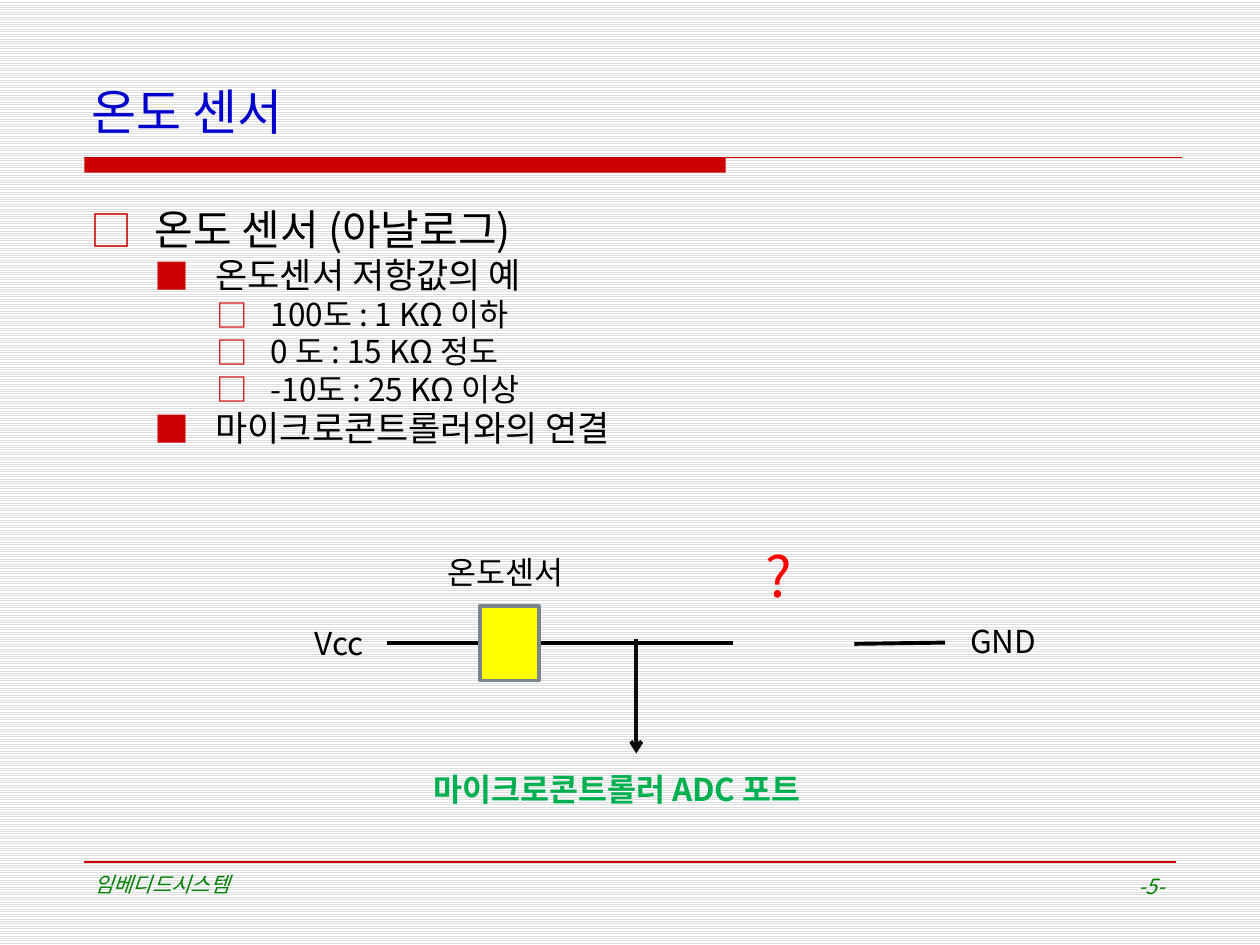
from dataclasses import dataclass

from lxml import etree
from pptx import Presentation
from pptx.dml.color import RGBColor
from pptx.enum.dml import MSO_PATTERN
from pptx.enum.shapes import MSO_CONNECTOR, MSO_SHAPE
from pptx.enum.text import MSO_ANCHOR, PP_ALIGN
from pptx.oxml.ns import qn
from pptx.util import Inches, Pt

STRIPES = MSO_PATTERN.LIGHT_HORIZONTAL
STRAIGHT = MSO_CONNECTOR.STRAIGHT
RECT = MSO_SHAPE.RECTANGLE
TOP, BOTTOM = MSO_ANCHOR.TOP, MSO_ANCHOR.BOTTOM
LEFT, RIGHT = PP_ALIGN.LEFT, PP_ALIGN.RIGHT


@dataclass(frozen=True)
class Theme:
    font: str = "Noto Sans CJK KR"
    paper: str = "FFFFFF"
    stripe: str = "DDDDDD"
    ink: str = "000000"
    arrow: str = "0D0D0D"
    title: str = "0000CC"
    accent: str = "CC0000"
    foot: str = "008000"
    port: str = "00B050"
    ask: str = "FF0000"
    sensor: str = "FFFF00"
    edge: str = "79848F"
    title_size: int = 28
    level_sizes: tuple = (24, 20, 18)
    label_size: int = 18
    ask_size: int = 32
    foot_size: int = 12


THEME = Theme()

# Text start, hanging indent and bullet for each outline level
LEVELS = ((0.51, 0.51, "□"), (0.99, 0.48, "■"), (1.43, 0.43, "□"))
POINTS = (
    (0, "온도 센서 (아날로그)"),
    (1, "온도센서 저항값의 예"),
    (2, "100도 : 1 KΩ 이하"),
    (2, "0 도 : 15 KΩ 정도"),
    (2, "-10도 : 25 KΩ 이상"),
    (1, "마이크로콘트롤러와의 연결"),
)


def color(code):
    return RGBColor.from_string(code)


def add_run(para, text, size, ink, bold=False, italic=False):
    run = para.add_run()
    run.text = text
    font = run.font
    font.name, font.size = THEME.font, Pt(size)
    font.bold, font.italic = bold, italic
    font.color.rgb = color(ink)
    east = etree.SubElement(run._r.get_or_add_rPr(), qn("a:ea"))
    east.set("typeface", THEME.font)


def add_frame(slide, box, anchor=TOP):
    frame = slide.shapes.add_textbox(*map(Inches, box)).text_frame
    frame.word_wrap = True
    frame.vertical_anchor = anchor
    return frame


def add_label(slide, box, text, size, ink, anchor=TOP, align=LEFT, **style):
    para = add_frame(slide, box, anchor).paragraphs[0]
    para.alignment = align
    add_run(para, text, size, ink, **style)


def add_line(slide, start, end, ink, width, arrow=False):
    line = slide.shapes.add_connector(STRAIGHT, *map(Inches, start + end))
    line.line.color.rgb = color(ink)
    line.line.width = Pt(width)
    if arrow:
        tip = etree.SubElement(line.line._get_or_add_ln(), qn("a:tailEnd"))
        tip.set("type", "arrow")
    etree.SubElement(line._element.spPr, qn("a:effectLst"))


def add_rect(slide, box, fill, edge=None, width=0):
    rect = slide.shapes.add_shape(RECT, *map(Inches, box))
    rect.shadow.inherit = False
    rect.fill.solid()
    rect.fill.fore_color.rgb = color(fill)
    if edge:
        rect.line.color.rgb = color(edge)
        rect.line.width = Pt(width)
    else:
        rect.line.fill.background()


def set_bullet(para, level):
    start, hang, mark = LEVELS[level]
    props = para._p.get_or_add_pPr()
    props.set("marL", str(Inches(start)))
    props.set("indent", str(-Inches(hang)))
    tint = etree.SubElement(props, qn("a:buClr"))
    etree.SubElement(tint, qn("a:srgbClr")).set("val", THEME.accent)
    etree.SubElement(props, qn("a:buFont")).set("typeface", THEME.font)
    etree.SubElement(props, qn("a:buChar")).set("char", mark)


def paint_back(slide):
    fill = slide.background.fill
    fill.patterned()
    fill.pattern = STRIPES
    fill.fore_color.rgb = color(THEME.stripe)
    fill.back_color.rgb = color(THEME.paper)


def add_head(slide, box):
    """Title above a thin rule whose left part is a thick bar."""
    left, top, width, height = box
    rule, start = top + height + 0.09, left + 0.04
    add_rect(slide, (start, rule, 5.09, 0.12), THEME.accent)
    add_line(slide, (start, rule), (left + width, rule), THEME.accent, 1)
    add_label(slide, box, "온도 센서", THEME.title_size, THEME.title, BOTTOM)


def add_outline(slide, box):
    frame = add_frame(slide, box)
    frame.margin_top = Inches(0.13)
    for index, (level, text) in enumerate(POINTS):
        para = frame.add_paragraph() if index else frame.paragraphs[0]
        size = THEME.level_sizes[level]
        para.level = level
        set_bullet(para, level)
        para.line_spacing = 0.8
        if index:
            para.space_before = Pt(round(size * 0.23, 1))
        add_run(para, text, size, THEME.ink)


def add_circuit(slide, box):
    left, top, width, height = box
    wire = top + 0.85

    def label(x, y, wide, text, ink=THEME.ink, size=THEME.label_size,
              tall=0.4, **style):
        add_label(slide, (left + x, top + y, wide, tall), text, size, ink, **style)

    for start, end, drop in ((0.67, 1.39, 0), (1.89, 3.42, 0), (4.38, 5.1, 0.01)):
        add_line(slide, (left + start, wire + drop), (left + end, wire),
                 THEME.ink, 2.25)
    add_rect(slide, (left + 1.41, wire - 0.29, 0.47, 0.59),
             THEME.sensor, THEME.edge, 2)
    tap = left + 2.65
    add_line(slide, (tap, wire - 0.03), (tap, wire + 0.88), THEME.arrow, 2.25, True)

    label(0, 0.65, 0.62, "Vcc")
    label(width - 0.85, 0.64, 0.85, "GND")
    label(1.05, 0.09, 1.28, "온도센서")
    label(3.58, 0, 0.59, "?", THEME.ask, THEME.ask_size, 0.64)
    label(0.94, height - 0.4, 3.43, "마이크로콘트롤러 ADC 포트", THEME.port, bold=True)


def add_foot(slide, box):
    left, top, width, height = box
    add_line(slide, (left, top), (left + width, top), THEME.accent, 1)
    style = dict(size=THEME.foot_size, ink=THEME.foot, italic=True)
    add_label(slide, (left - 0.02, top + 0.03, 5.73, height),
              "임베디드시스템", **style)
    add_label(slide, (left + width - 2.16, top + 0.04, 2.17, height),
              "-5-", align=RIGHT, **style)


def main():
    deck = Presentation()
    deck.slide_width, deck.slide_height = Inches(10), Inches(7.5)
    slide = deck.slides.add_slide(deck.slide_layouts[6])
    paint_back(slide)
    add_head(slide, (0.63, 0.53, 8.75, 0.63))
    add_outline(slide, (0.62, 1.56, 8.75, 5.26))
    add_foot(slide, (0.67, 6.84, 8.66, 0.48))
    add_circuit(slide, (2.4, 4.25, 6.05, 2.21))
    deck.save("out.pptx")


if __name__ == "__main__":
    main()
